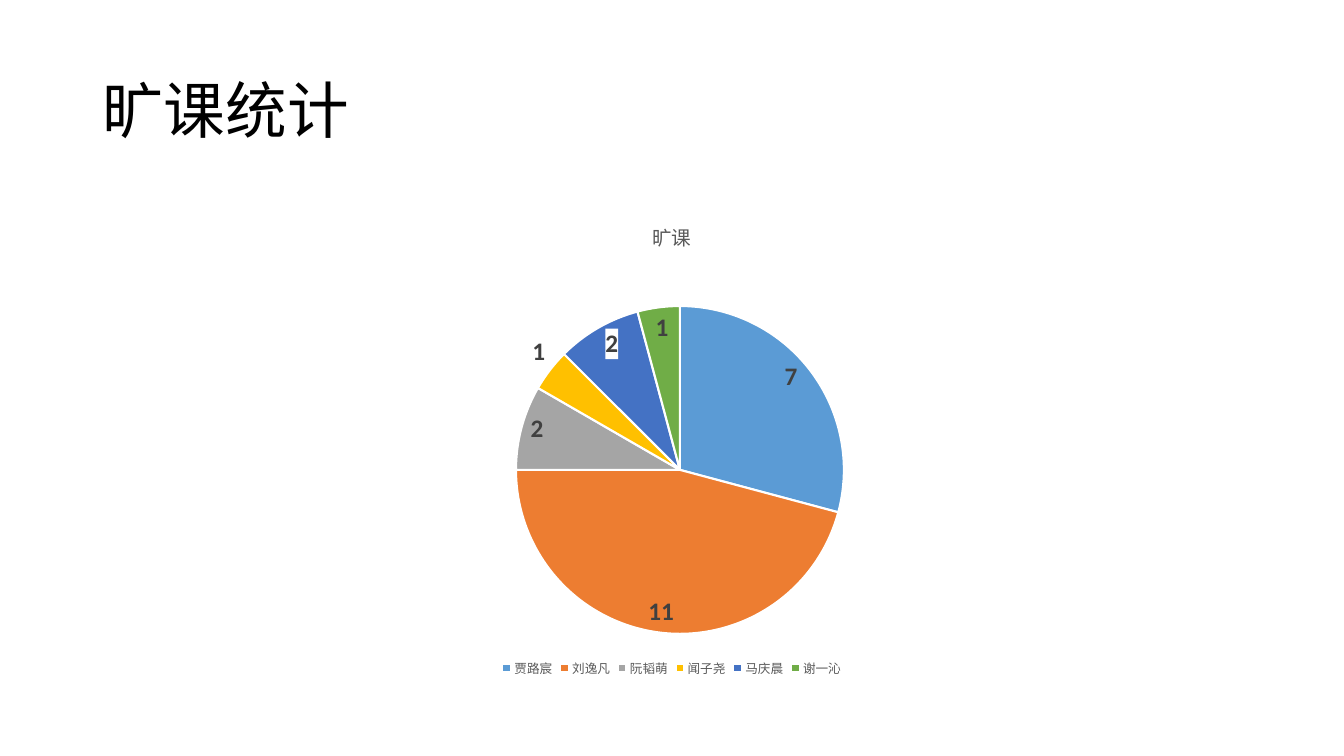
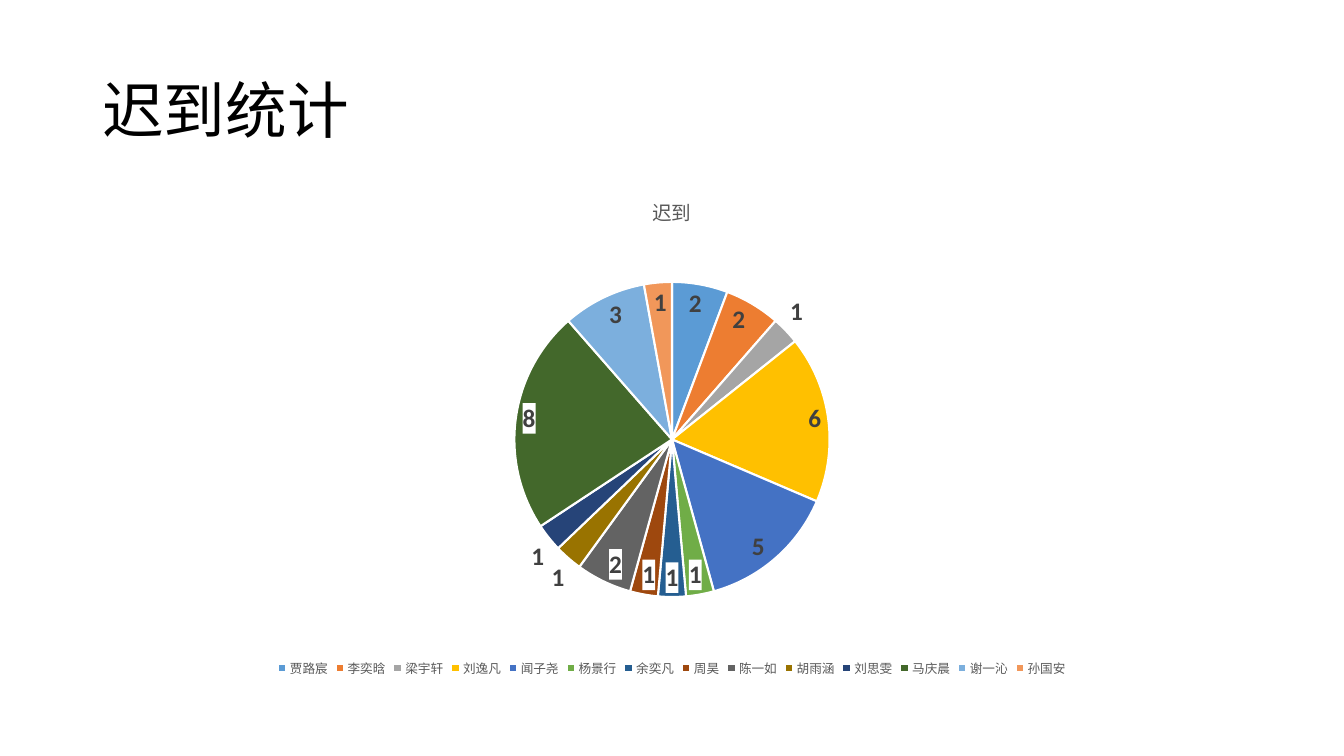
from lxml.etree import SubElement
from pptx import Presentation
from pptx.chart.data import CategoryChartData
from pptx.dml.color import RGBColor
from pptx.enum.chart import XL_CHART_TYPE as ChartType
from pptx.enum.chart import XL_LABEL_POSITION as LabelPosition
from pptx.enum.chart import XL_LEGEND_POSITION as LegendPosition
from pptx.enum.text import MSO_ANCHOR as Anchor
from pptx.oxml import parse_xml
from pptx.oxml.ns import nsdecls, qn
from pptx.util import Inches, Pt

COLOURS = {
    "title": "000000", "muted": "595959", "label": "404040", "white": "FFFFFF",
    "blue": "5B9BD5", "orange": "ED7D31", "grey": "A5A5A5", "gold": "FFC000",
    "royal": "4472C4", "green": "70AD47", "deep blue": "255E91", "rust": "9E480E",
    "dark grey": "636363", "olive": "997300", "navy": "264478", "forest": "43682B",
    "sky": "7CAFDD", "peach": "F1975A",
}
SLICES = list(COLOURS)[4:]
FONT = "Calibri"
COLUMNS, ROWS = 160, 90
LEFT, WIDTH = 11, 138
CHART_BOTTOM = 81.1


class Deck:
    """Style, grid and current slide of the attendance report."""

    def __init__(self):
        self.presentation = Presentation()
        self.presentation.slide_width = Inches(13.33)
        self.presentation.slide_height = Inches(7.5)
        self.slide = None

    def box(self, left, top, width, height):
        column = self.presentation.slide_width / COLUMNS
        row = self.presentation.slide_height / ROWS
        return [round(v) for v in (left * column, top * row, width * column, height * row)]

    def style(self, font, size, colour, bold=False):
        font.name, font.size, font.bold = FONT, Pt(size), bold
        font.color.rgb = RGBColor.from_string(COLOURS[colour])

    def new_slide(self, title):
        self.slide = self.presentation.slides.add_slide(self.presentation.slide_layouts[6])
        frame = self.slide.shapes.add_textbox(*self.box(LEFT, 4.8, WIDTH, 17.4)).text_frame
        frame.word_wrap = True
        frame.vertical_anchor = Anchor.MIDDLE
        paragraph = frame.paragraphs[0]
        paragraph.text = title
        paragraph.line_spacing = 0.9
        self.style(paragraph.font, 44, "title")

    def pie(self, name, counts, top, centre, radius, boxed):
        data = CategoryChartData()
        data.categories = list(counts)
        data.add_series(name, list(counts.values()))
        height = CHART_BOTTOM - top
        chart = self.slide.shapes.add_chart(
            ChartType.PIE, *self.box(LEFT, top, WIDTH, height), data).chart
        self.style(chart.font, 10, "title")
        chart.has_title = True
        chart.chart_title.include_in_layout = False
        paragraph = chart.chart_title.text_frame.paragraphs[0]
        paragraph.text = name
        self.style(paragraph.font, 14, "muted")
        chart.has_legend = True
        chart.legend.position = LegendPosition.BOTTOM
        chart.legend.include_in_layout = False
        self.style(chart.legend.font, 9, "muted")

        plot = chart.plots[0]
        plot.vary_by_categories = True
        series = plot.series[0]
        for index, colour in enumerate(SLICES[:len(counts)]):
            slice_format = series.points[index].format
            slice_format.fill.solid()
            slice_format.fill.fore_color.rgb = RGBColor.from_string(COLOURS[colour])
            slice_format.line.color.rgb = RGBColor.from_string(COLOURS["white"])
            slice_format.line.width = Pt(1.5)
        series.data_labels.show_value = True
        series.data_labels.position = LabelPosition.BEST_FIT
        self.style(series.data_labels.font, 18, "label", bold=True)
        for index in boxed:
            self.boxed_label(series, index)
        across, down = centre
        self.place_plot(chart, x=(across - radius - LEFT) / WIDTH, y=(down - radius - top) / height,
                        w=2 * radius / WIDTH, h=2 * radius / height)

    def boxed_label(self, series, index):
        label = series.points[index].data_label
        self.style(label.font, 18, "label", bold=True)
        label.position = LabelPosition.BEST_FIT
        mark = series._element.xpath(f'c:dLbls/c:dLbl/c:idx[@val="{index}"]')[0]
        label_element = mark.getparent()
        for properties in label_element.findall(qn("c:spPr")):
            label_element.remove(properties)
        mark.addnext(parse_xml(
            f'<c:spPr {nsdecls("c", "a")}><a:solidFill>'
            f'<a:srgbClr val="{COLOURS["white"]}"/></a:solidFill>'
            '<a:ln><a:noFill/></a:ln></c:spPr>'))

    def place_plot(self, chart, **shares):
        area = chart._chartSpace.xpath("c:chart/c:plotArea")[0]
        for layout in area.findall(qn("c:layout")):
            area.remove(layout)
        layout = parse_xml(f'<c:layout {nsdecls("c")}/>')
        area.insert(0, layout)
        manual = SubElement(layout, qn("c:manualLayout"))
        settings = {"layoutTarget": "inner", "xMode": "edge", "yMode": "edge", **shares}
        for tag, value in settings.items():
            SubElement(manual, qn(f"c:{tag}")).set("val", str(value))


def main():
    deck = Deck()
    deck.new_slide("旷课统计")
    absences = {"贾路宸": 7, "刘逸凡": 11, "阮韬萌": 2, "闻子尧": 1, "马庆晨": 2, "谢一沁": 1}
    deck.pie("旷课", absences, top=24, centre=(80.95, 55.95), radius=19.52, boxed=[4])

    deck.new_slide("迟到统计")
    late_arrivals = {
        "贾路宸": 2, "李奕晗": 2, "梁宇轩": 1, "刘逸凡": 6, "闻子尧": 5, "杨景行": 1, "余奕凡": 1,
        "周昊": 1, "陈一如": 2, "胡雨涵": 1, "刘思雯": 1, "马庆晨": 8, "谢一沁": 3, "孙国安": 1,
    }
    deck.pie("迟到", late_arrivals, top=21, centre=(80, 52.33), radius=18.76,
             boxed=[5, 6, 7, 8, 9, 11])
    deck.presentation.save("out.pptx")


if __name__ == "__main__":
    main()
